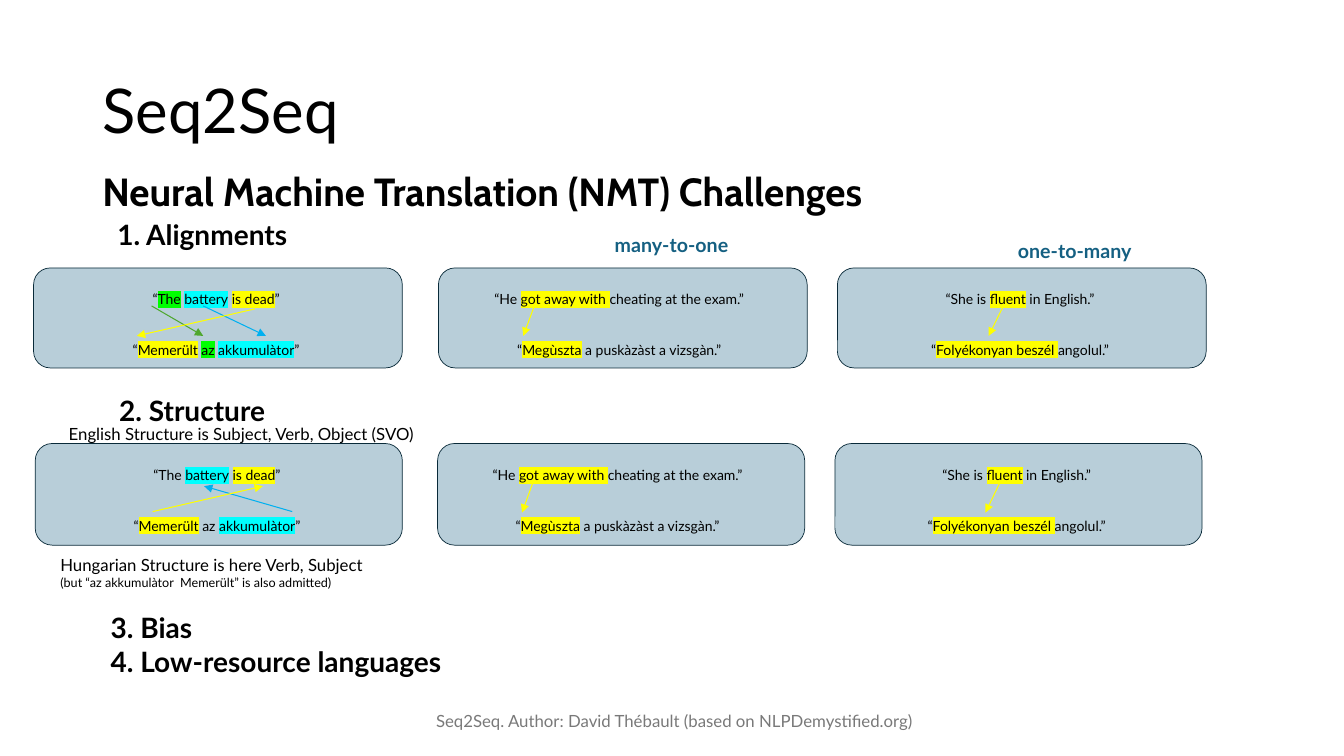
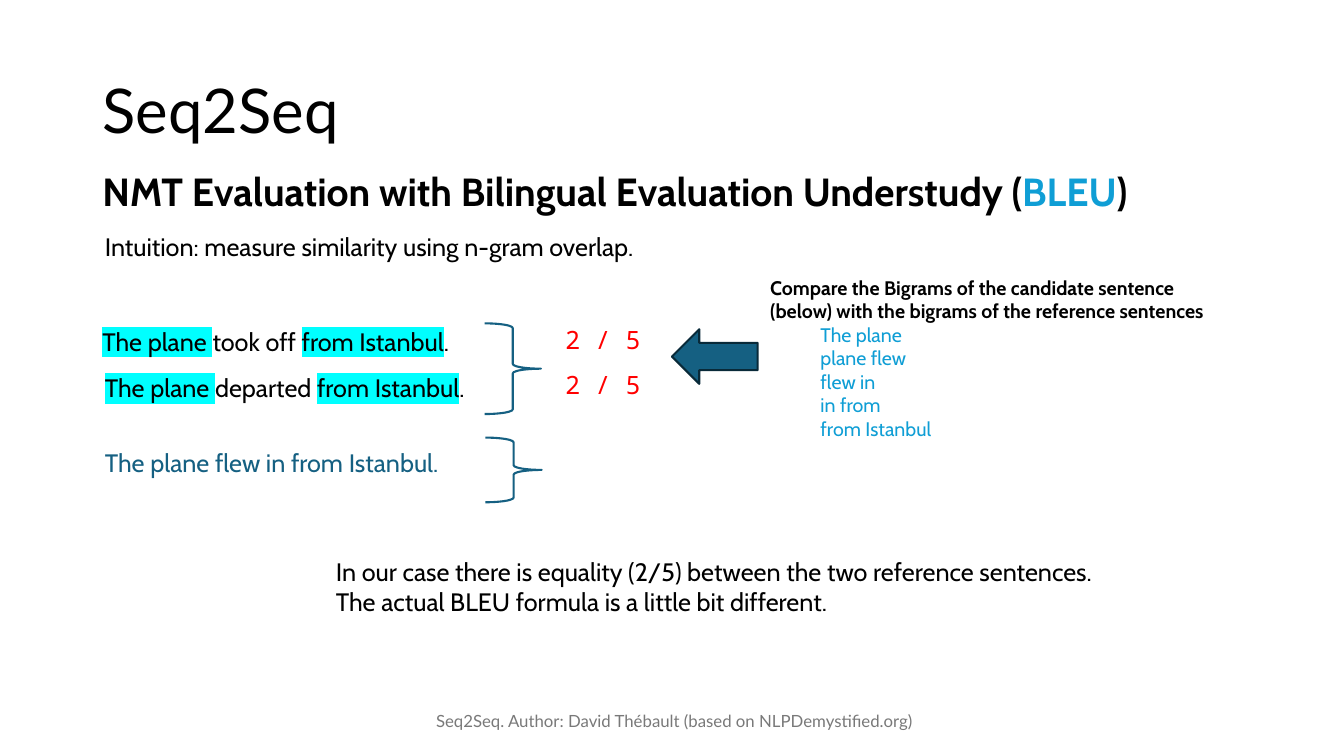
from dataclasses import dataclass

from lxml import etree
from pptx import Presentation
from pptx.dml.color import RGBColor
from pptx.enum import shapes, text
from pptx.oxml import ns
from pptx import util as u

COLUMNS, ROWS = 160, 90
CELL = u.Pt(6)

BLACK = RGBColor(0x00, 0x00, 0x00)
GRAY = RGBColor(0x79, 0x79, 0x79)
TEAL = RGBColor(0x15, 0x60, 0x82)
DARK_TEAL = RGBColor(0x09, 0x2A, 0x39)
SKY = RGBColor(0x0F, 0x9E, 0xD5)
BLUE = RGBColor(0x00, 0xB0, 0xF0)
GREEN = RGBColor(0x4E, 0xA7, 0x2E)
RED = RGBColor(0xFF, 0x00, 0x00)
YELLOW = RGBColor(0xFF, 0xFF, 0x00)
CYAN = RGBColor(0x00, 0xFF, 0xFF)
LIME = RGBColor(0x00, 0xFF, 0x00)

LATO, CABIN, MONO = "Lato", "Cabin", "Noto Sans Mono"
CENTER = text.PP_ALIGN.CENTER
MIDDLE = text.MSO_ANCHOR.MIDDLE


@dataclass
class Box:
    left: float
    top: float
    width: float
    height: float

    def cells(self, column, row, width, height):
        return Box(self.left + column, self.top + row, width, height)

    def share(self, x, y, width, height):
        return self.cells(x * self.width, y * self.height,
                          width * self.width, height * self.height)

    def point(self, x, y):
        spot = self.share(x, y, 0, 0)
        return round(spot.left * CELL), round(spot.top * CELL)

    def lengths(self):
        return [round(value * CELL) for value in
                (self.left, self.top, self.width, self.height)]


PAGE = Box(0, 0, COLUMNS, ROWS)


def add_element(parent, tag, **attributes):
    return etree.SubElement(parent, ns.qn(tag), **attributes)


def add_run(paragraph, words, *, size, font, color, bold, highlight=None):
    run = paragraph.add_run()
    run.text = words
    run.font.size = u.Pt(size)
    run.font.name = font
    run.font.bold = bold
    run.font.color.rgb = color
    if highlight is not None:
        properties = run.font._element
        mark = add_element(properties, "a:highlight")
        add_element(mark, "a:srgbClr", val=str(highlight))
        properties.find(ns.qn("a:solidFill")).addnext(mark)


def write(container, box, *paragraphs, size=18, font=LATO, color=BLACK, bold=False,
          align=None, anchor=text.MSO_ANCHOR.TOP, gap=0, line_spacing=None):
    frame = container.add_textbox(*box.lengths()).text_frame
    frame.word_wrap = True
    frame.vertical_anchor = anchor
    for index, runs in enumerate(paragraphs):
        paragraph = frame.add_paragraph() if index else frame.paragraphs[0]
        paragraph.alignment = align
        paragraph.line_spacing = line_spacing
        if index and gap:
            paragraph.space_before = u.Pt(gap)
        for run in [runs] if isinstance(runs, str) else runs:
            words, changes = (run, {}) if isinstance(run, str) else run
            style = dict(size=size, font=font, color=color, bold=bold)
            add_run(paragraph, words, **{**style, **changes})
    return frame


def marked(words, color=YELLOW):
    return words, {"highlight": color}


def draw(container, kind, box, *, fill=None, line, weight, opacity=None):
    shape = container.add_shape(kind, *box.lengths())
    shape.shadow.inherit = False
    if fill is None:
        shape.fill.background()
    else:
        shape.fill.solid()
        shape.fill.fore_color.rgb = fill
    if opacity is not None:
        tint = shape._element.spPr.find(".//" + ns.qn("a:srgbClr"))
        add_element(tint, "a:alpha", val=str(opacity * 1000))
    shape.line.color.rgb = line
    shape.line.width = u.Pt(weight)


def draw_arrow(container, box, start, end, color):
    arrow = container.add_connector(shapes.MSO_CONNECTOR.STRAIGHT,
                                    *box.point(*start), *box.point(*end))
    arrow.line.color.rgb = color
    arrow.line.width = u.Pt(0.75)
    add_element(arrow.line._get_or_add_ln(), "a:tailEnd", type="triangle")
    add_element(arrow._element.spPr, "a:effectLst")


def new_slide(presentation, *subtitle):
    slide = presentation.slides.add_slide(presentation.slide_layouts[6])
    write(slide.shapes, PAGE.cells(11, 4.8, 138, 17.4), "Seq2Seq", size=44,
          anchor=MIDDLE, line_spacing=0.9)
    write(slide.shapes, PAGE.cells(46, 83.4, 68.6, 4.8),
          "Seq2Seq. Author: David Thébault (based on NLPDemystified.org)",
          size=12, color=GRAY, align=CENTER, anchor=MIDDLE)
    write(slide.shapes, PAGE.cells(11, 19.3, 138, 8.5), subtitle,
          size=28, font=CABIN, bold=True)
    return slide


@dataclass
class Pair:
    english: list
    hungarian: list
    arrows: list
    text_left: float = -0.02
    text_width: float = 1.03


ALIGNED = Pair(
    ["“", marked("The", LIME), " ", marked("battery", CYAN), " ", marked("is dead"), "”"],
    ["“", marked("Memerült"), " ", marked("az", LIME), " ", marked("akkumulàtor", CYAN), "”"],
    [((0.32, 0.38), (0.46, 0.68), GREEN),
     ((0.46, 0.38), (0.63, 0.68), BLUE),
     ((0.6, 0.41), (0.28, 0.68), YELLOW)],
    0.04, 0.91)
REORDERED = Pair(
    ["“The ", marked("battery", CYAN), " ", marked("is dead"), "”"],
    ["“", marked("Memerült"), " az ", marked("akkumulàtor", CYAN), "”"],
    [((0.7, 0.67), (0.46, 0.42), BLUE),
     ((0.32, 0.67), (0.62, 0.42), YELLOW)],
    0.04, 0.91)
MANY_TO_ONE = Pair(
    ["“He ", marked("got away with "), "cheating at the exam.”"],
    ["“", marked("Megùszta"), " a puskàzàst a vizsgàn.”"],
    [((0.26, 0.38), (0.23, 0.68), YELLOW)],
    -0.03, 1.04)
ONE_TO_MANY = Pair(
    ["“She is ", marked("fluent"), " in English.”"],
    ["“", marked("Folyékonyan beszél "), "angolul.”"],
    [((0.45, 0.38), (0.41, 0.68), YELLOW)])


def pair_card(container, box, pair):
    draw(container, shapes.MSO_SHAPE.ROUNDED_RECTANGLE, box,
         fill=TEAL, opacity=30, line=DARK_TEAL, weight=0.5)
    write(container, box.share(pair.text_left, 0.18, pair.text_width, 0.76),
          pair.english, pair.hungarian, size=10, align=CENTER, gap=24)
    for start, end, color in pair.arrows:
        draw_arrow(container, box, start, end, color)


def card_row(slide, box, lefts, width, *pairs):
    group = slide.shapes.add_group_shape().shapes
    for left, pair in zip(lefts, pairs):
        pair_card(group, box.cells(left, 0, width, box.height), pair)


def alignments(slide, box):
    write(slide.shapes, box.cells(8.8, 0, 30, 4.8), "1. Alignments", size=20, bold=True)
    card_row(slide, box.cells(0, 6.6, box.width, 11.9), (0, 48.2, 95.7), 43.9,
             ALIGNED, MANY_TO_ONE, ONE_TO_MANY)
    for label, left, top in (("many-to-one", 66.4, 1.9), ("one-to-many", 114.4, 2.5)):
        write(slide.shapes, box.cells(left, top, 19.1, 4.8), label,
              size=14, color=TEAL, bold=True, align=CENTER)


def structure(slide, box):
    write(slide.shapes, box.cells(8.8, 0, 25.3, 4.8), "2. Structure", size=20, bold=True)
    card_row(slide, box.cells(0, 6.5, box.width, 12.1), (0, 47.9, 95.2), 43.7,
             REORDERED, MANY_TO_ONE, ONE_TO_MANY)
    write(slide.shapes, box.cells(2.8, 3.6, 45, 4.8),
          "English Structure is Subject, Verb, Object (SVO)", size=12)
    write(slide.shapes, box.cells(1.8, 19.1, 45, 4.8),
          "Hungarian Structure is here Verb, Subject",
          [("(but “az akkumulàtor  Memerült” is also admitted)", {"size": 9})], size=12)


def challenges_slide(presentation):
    slide = new_slide(presentation, "Neural Machine Translation (NMT) Challenges")
    alignments(slide, PAGE.cells(4, 25.3, 139.6, 18.5))
    structure(slide, PAGE.cells(4.2, 46.3, 138.9, 23.9))
    write(slide.shapes, PAGE.cells(12, 72.1, 51.6, 8.9),
          "3. Bias", "4. Low-resource languages", size=20, bold=True)


def brace(slide, box):
    draw(slide.shapes, shapes.MSO_SHAPE.RIGHT_BRACE, box, line=TEAL, weight=1.5)


def references(slide, box):
    for verb, left, top, score_top in (("took off ", 0, 0.2, 0), ("departed ", 0.3, 5.7, 5.4)):
        write(slide.shapes, box.cells(left, top, 56.4, 4.8),
              [marked("The plane ", CYAN), verb, marked("from Istanbul", CYAN), "."], font=CABIN)
        write(slide.shapes, box.cells(55.1, score_top, 13, 4.8), "2 / 5", font=MONO, color=RED)
    brace(slide, box.cells(46.7, 0.5, 6.7, 10.8))
    draw(slide.shapes, shapes.MSO_SHAPE.LEFT_ARROW, box.cells(69, 1.2, 10.2, 6.5),
         fill=TEAL, line=DARK_TEAL, weight=1.5)


def candidate(slide, box):
    write(slide.shapes, box.cells(0, 0.6, 56.4, 4.8),
          "The plane flew in from Istanbul.", font=CABIN, color=TEAL)
    brace(slide, box.cells(46.5, 0, 6.7, box.height))


def bigrams(slide, box):
    pairs = ("The plane", "plane flew", "flew in", "in from", "from Istanbul")
    frame = write(
        slide.shapes, box,
        "Compare the Bigrams of the candidate sentence (below) "
        "with the bigrams of the reference sentences",
        *([(pair, {"color": SKY, "bold": False})] for pair in pairs),
        size=14, font=CABIN, bold=True)
    for paragraph in frame.paragraphs[1:]:
        paragraph.level = 1
        properties = paragraph._p.get_or_add_pPr()
        properties.set("marL", str(u.Inches(0.5)))
        properties.set("indent", "0")


def evaluation_slide(presentation):
    slide = new_slide(presentation, "NMT Evaluation with Bilingual Evaluation Understudy (",
                      ("BLEU", {"color": SKY}), ")")
    write(slide.shapes, PAGE.cells(11.3, 26.9, 138, 6),
          "Intuition: measure similarity using n-gram overlap.", font=CABIN)
    references(slide, PAGE.cells(11, 38, 79.2, 11.3))
    bigrams(slide, PAGE.cells(90.5, 32.2, 56.4, 22.6))
    candidate(slide, PAGE.cells(11.3, 52.1, 53.2, 7.7))
    write(slide.shapes, PAGE.cells(38.8, 65.6, 96.5, 11.5),
          "In our case there is equality (2/5) between the two reference sentences.",
          "The actual BLEU formula is a little bit different.", font=CABIN)


def main():
    presentation = Presentation()
    presentation.slide_width = COLUMNS * CELL
    presentation.slide_height = ROWS * CELL
    challenges_slide(presentation)
    evaluation_slide(presentation)
    presentation.save("out.pptx")


if __name__ == "__main__":
    main()
